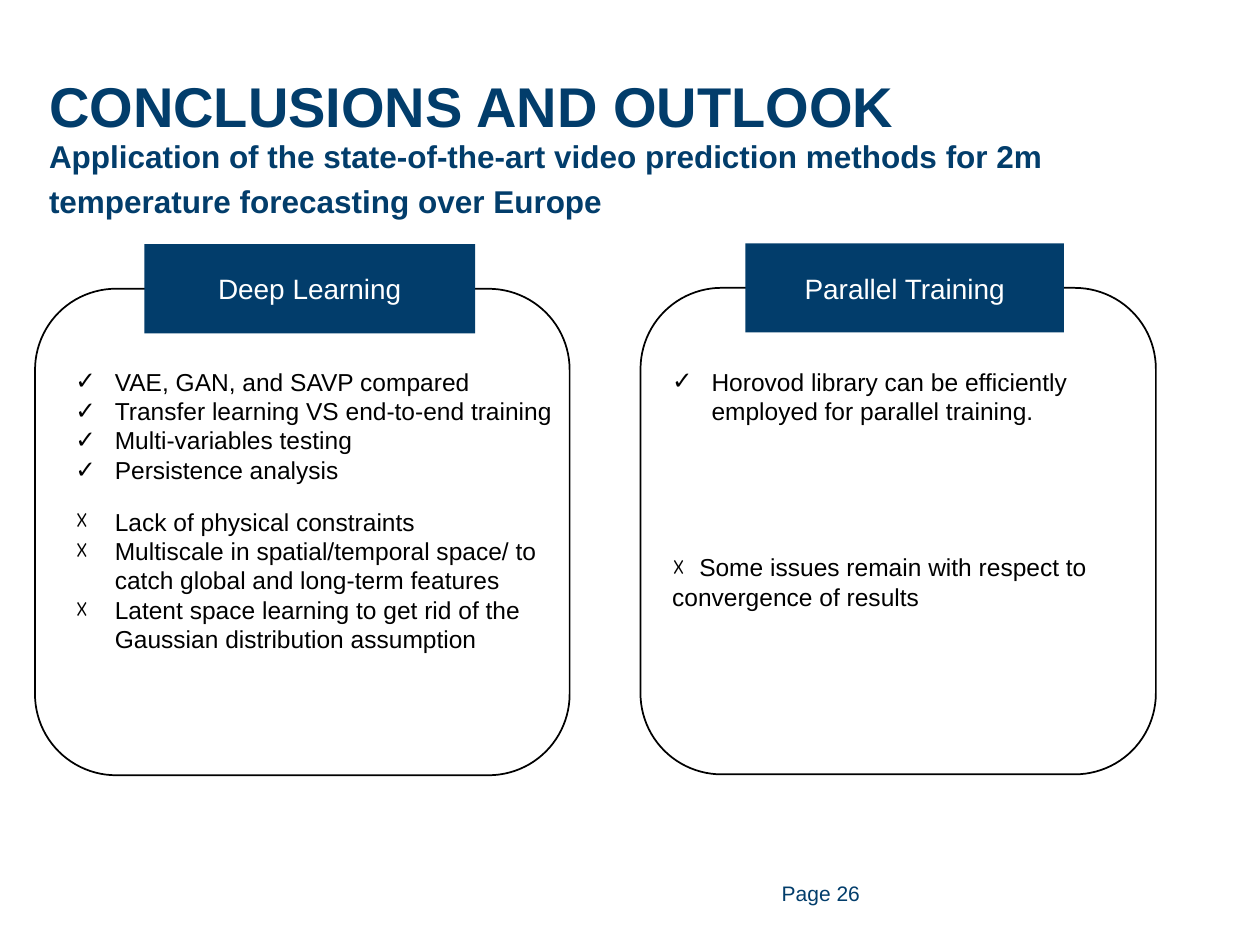
import pptx
import pptx.dml.color
import pptx.enum.shapes
import pptx.enum.text
import pptx.oxml
import pptx.oxml.ns
import pptx.util

Pt = pptx.util.Pt
Align = pptx.enum.text.PP_ALIGN
Anchor = pptx.enum.text.MSO_ANCHOR
Preset = pptx.enum.shapes.MSO_SHAPE
NAVY = pptx.dml.color.RGBColor(0x02, 0x3D, 0x6B)
BLACK = pptx.dml.color.RGBColor(0, 0, 0)
WHITE = pptx.dml.color.RGBColor(255, 255, 255)


class SlideBuilder:
    font_name = "Arial"
    body_size = 14
    indent = 22.5

    def __init__(self, slide):
        self.slide = slide

    def style(self, paragraph, size, color, bold=False, spacing=1.0, align=Align.LEFT):
        paragraph.alignment = align
        paragraph.line_spacing = spacing
        paragraph.font.name = self.font_name
        paragraph.font.size = Pt(size)
        paragraph.font.bold = bold
        paragraph.font.color.rgb = color

    def text_box(self, left, top, width, height, inset=True):
        box = self.slide.shapes.add_textbox(Pt(left), Pt(top), Pt(width), Pt(height))
        frame = box.text_frame
        frame.word_wrap = True
        if not inset:
            frame.margin_left = frame.margin_right = Pt(0)
            frame.margin_top = frame.margin_bottom = Pt(0)
        return frame

    def heading(self, text, top, height, size):
        frame = self.text_box(28, top, 663, height, inset=False)
        frame.text = text
        self.style(frame.paragraphs[0], size, NAVY, bold=True, spacing=1.2)

    def add_properties(self, paragraph, *elements):
        namespace = pptx.oxml.ns.nsdecls("a")
        properties = paragraph._p.get_or_add_pPr()
        for name, content in elements:
            properties.append(pptx.oxml.parse_xml(f"<a:{name} {namespace} {content}"))
        return properties

    def bullets(self, mark, items, left, top, width, height):
        frame = self.text_box(left, top, width, height)
        for index, item in enumerate(items):
            paragraph = frame.paragraphs[0] if index == 0 else frame.add_paragraph()
            paragraph.text = item
            properties = self.add_properties(
                paragraph, ("buFont", 'typeface="Arial"/>'), ("buChar", f'char="{mark}"/>'))
            properties.set("marL", str(Pt(self.indent)))
            properties.set("indent", str(-Pt(self.indent)))
            self.style(paragraph, self.body_size, BLACK)

    def tabbed_text(self, text, tab, left, top, width, height):
        frame = self.text_box(left, top, width, height)
        frame.text = text
        paragraph = frame.paragraphs[0]
        self.add_properties(
            paragraph, ("tabLst", f'><a:tab pos="{Pt(tab)}" algn="l"/></a:tabLst>'))
        self.style(paragraph, self.body_size, BLACK)

    def block(self, group, preset, bounds, fill, line=None):
        shape = group.shapes.add_shape(preset, *(Pt(value) for value in bounds))
        shape.shadow.inherit = False
        shape.fill.solid()
        shape.fill.fore_color.rgb = fill
        if line is None:
            shape.line.fill.background()
        else:
            shape.line.color.rgb = line
            shape.line.width = Pt(1)
        return shape

    def panel(self, title, left, top, width, header_left, header_width):
        group = self.slide.shapes.add_group_shape()
        self.block(group, Preset.ROUNDED_RECTANGLE, (left, top, width, 278), WHITE, BLACK)
        header = self.block(
            group, Preset.RECTANGLE, (header_left, top - 25.5, header_width, 51), NAVY)
        frame = header.text_frame
        frame.text = title
        frame.vertical_anchor = Anchor.MIDDLE
        self.style(frame.paragraphs[0], 16, WHITE, align=Align.CENTER)

    def page_number(self, text):
        frame = self.text_box(423.5, 496, 75, 29)
        frame.text = text
        frame.vertical_anchor = Anchor.MIDDLE
        self.style(frame.paragraphs[0], 12, NAVY, align=Align.RIGHT)


def main():
    presentation = pptx.Presentation()
    presentation.slide_width = Pt(720)
    presentation.slide_height = Pt(540)
    builder = SlideBuilder(presentation.slides.add_slide(presentation.slide_layouts[6]))

    builder.heading("CONCLUSIONS AND OUTLOOK", 33, 41, 32)
    builder.heading(
        "Application of the state-of-the-art video prediction methods for 2m "
        "temperature forecasting over Europe", 74, 50, 18)

    builder.panel("Deep Learning", 20, 165, 305.5, 82.5, 189)
    builder.bullets("✓", [
        "VAE, GAN, and SAVP compared",
        "Transfer learning VS end-to-end training",
        "Multi-variables testing",
        "Persistence analysis",
    ], 36, 206, 289.5, 72)
    builder.bullets("☓", [
        "Lack of physical constraints",
        "Multiscale in spatial/temporal space/ to catch global and long-term features",
        "Latent space learning to get rid of the Gaussian distribution assumption",
    ], 36, 286, 284.5, 88)

    builder.panel("Parallel Training", 366, 164.5, 294.5, 426, 182)
    builder.bullets("✓", [
        "Horovod library can be efficiently employed for parallel training.",
    ], 377, 206, 249, 40)
    builder.tabbed_text(
        "☓\tSome issues remain with respect to convergence of results",
        15.5, 377, 312, 255, 58)

    builder.page_number("Page 26")
    presentation.save("out.pptx")


if __name__ == "__main__":
    main()
